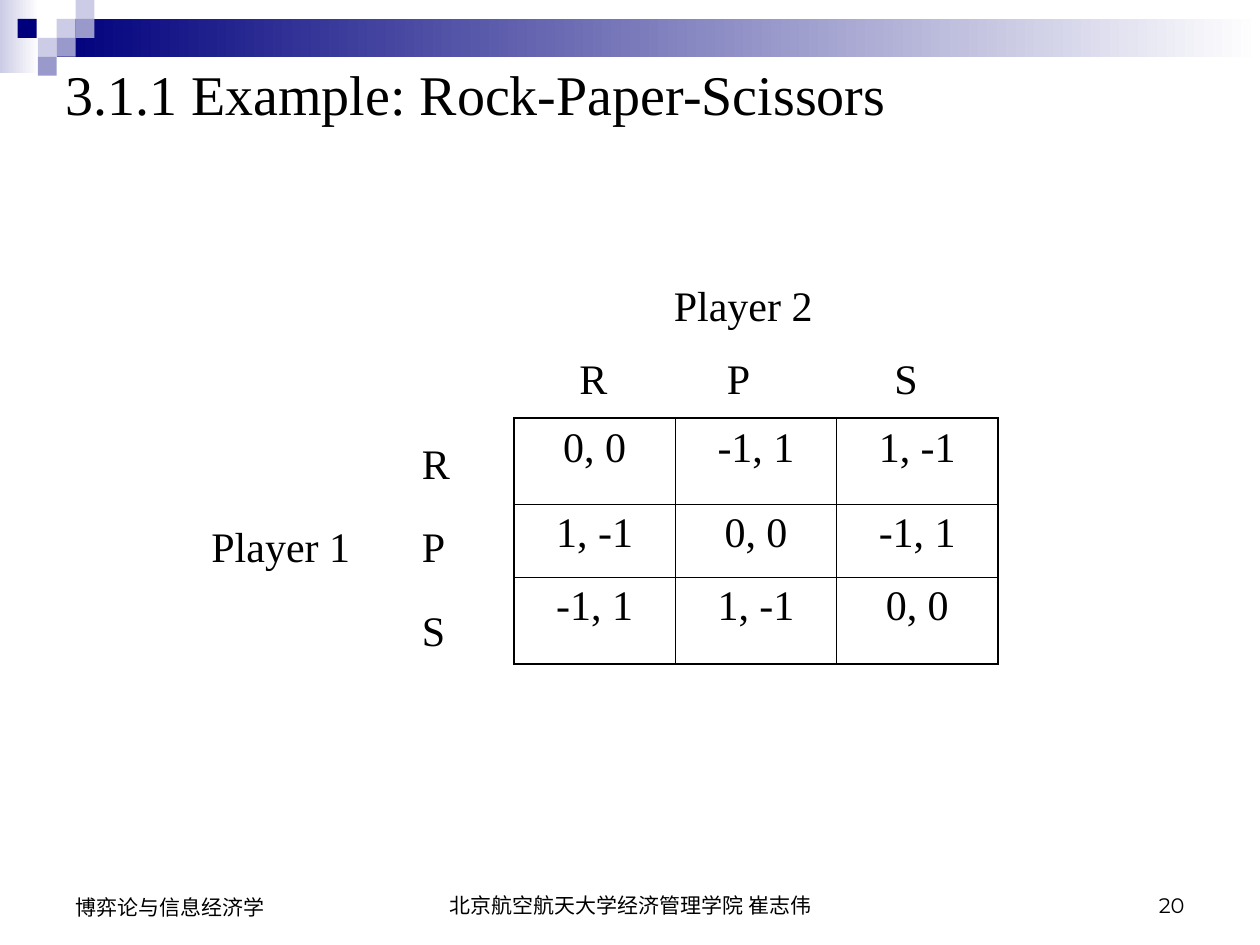
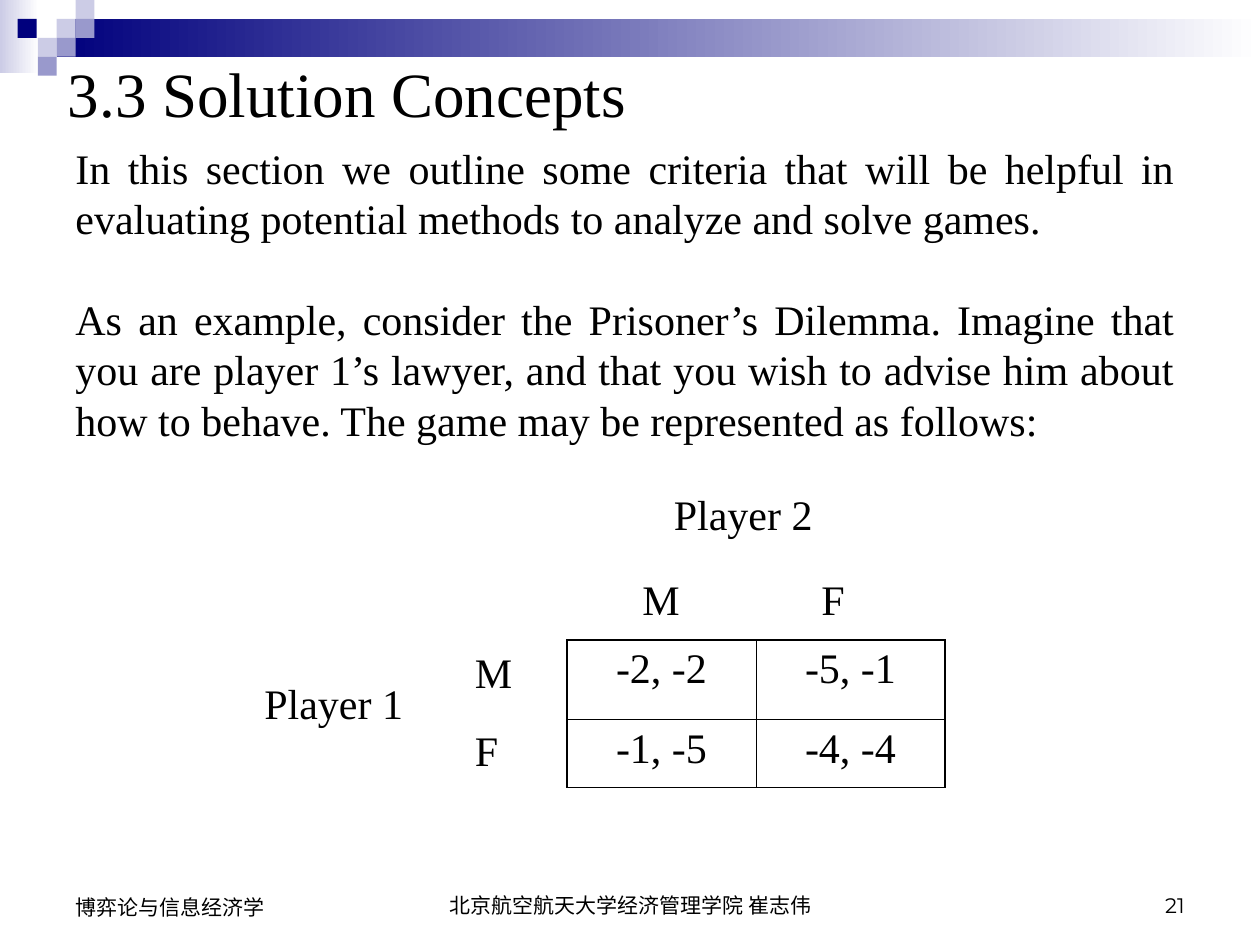
from dataclasses import dataclass
from lxml import etree
from pptx import Presentation
from pptx.dml.color import RGBColor
from pptx.enum.shapes import MSO_SHAPE
from pptx.enum.text import MSO_ANCHOR, PP_ALIGN
from pptx.oxml.ns import qn
from pptx.util import Inches, Pt

RECTANGLE = MSO_SHAPE.RECTANGLE
TOP, BOTTOM = MSO_ANCHOR.TOP, MSO_ANCHOR.BOTTOM
LEFT, CENTER, RIGHT, JUSTIFY = PP_ALIGN.LEFT, PP_ALIGN.CENTER, PP_ALIGN.RIGHT, PP_ALIGN.JUSTIFY


@dataclass(frozen=True)
class Theme:
    navy: str = "00007D"
    lilac: str = "9999CC"
    pale: str = "CCCCE6"
    white: str = "FFFFFF"
    ink: str = "000000"
    serif: str = "Times New Roman"
    sans: str = "Arial"
    number: str = "Montserrat"
    body_size: int = 24
    footer_size: int = 12
    leading: float = 1.2
    outer_line: float = 1.08
    inner_line: float = 0.45


theme = Theme()


def write_para(para, text, size, font, align):
    para.alignment = align
    span = para.add_run()
    span.text = text
    span.font.size = Pt(size)
    span.font.name = font
    span.font.color.rgb = RGBColor.from_string(theme.ink)


def add_text(page, place, texts, size=theme.body_size, font=theme.serif,
             align=LEFT, anchor=TOP, wrap=True):
    box = page.shapes.add_textbox(*map(Inches, place))
    frame = box.text_frame
    frame.word_wrap = wrap
    frame.vertical_anchor = anchor
    for index, text in enumerate(texts):
        para = frame.add_paragraph() if index else frame.paragraphs[0]
        write_para(para, text, size, font, align)
        if anchor == TOP:
            para.line_spacing = Pt(size * theme.leading)
        if index:
            para.space_before = Pt(size * theme.leading)


gradient_bands = [
    ((0, 0, 0.31, 0.58), theme.pale),
    ((0.45, 0.15, 9.55, 0.3), theme.navy),
]
square_side = 0.15
squares = [
    (0.45, 0.15, theme.pale),
    (0.6, 0, theme.pale),
    (0.6, 0.15, theme.lilac),
    (0.3, 0.3, theme.pale),
    (0.14, 0.15, theme.navy),
    (0.45, 0.3, theme.lilac),
    (0.3, 0.45, theme.lilac),
]

games = [
    {
        "number": "20",
        "title": "3.1.1 Example: Rock-Paper-Scissors",
        "title_place": (0.42, 0.42, 7.92, 1.17),
        "title_size": 32,
        "title_wrap": True,
        "body": [],
        "moves": "RPS",
        "payoffs": [["0, 0", "-1, 1", "1, -1"],
                    ["1, -1", "0, 0", "-1, 1"],
                    ["-1, 1", "1, -1", "0, 0"]],
        "table_corner": (4.08, 3.32),
        "column_width": 1.28,
        "row_heights": [0.68, 0.58, 0.69],
        "row_label_left": 3.25,
        "row_label_tops": [3.42, 4.08, 4.75],
        "column_label_top": 2.75,
        "column_label_lefts": [4.5, 5.67, 7],
        "player_1": (1.58, 4.08),
        "player_2": (5.25, 2.17),
    },
    {
        "number": "21",
        "title": "3.3 Solution Concepts",
        "title_place": (0.44, 0.38, 4.63, 0.7),
        "title_size": 36,
        "title_wrap": False,
        "body": [
            "In this section we outline some criteria that will be helpful in "
            "evaluating potential methods to analyze and solve games.",
            "As an example, consider the Prisoner’s Dilemma. Imagine that you are "
            "player 1’s lawyer, and that you wish to advise him about how to behave. "
            "The game may be represented as follows:",
        ],
        "moves": "MF",
        "payoffs": [["-2, -2", "-5, -1"],
                    ["-1, -5", "-4, -4"]],
        "table_corner": (4.5, 5.08),
        "column_width": 1.5,
        "row_heights": [0.63, 0.54],
        "row_label_left": 3.67,
        "row_label_tops": [5.08, 5.7],
        "column_label_top": 4.5,
        "column_label_lefts": [5, 6.42],
        "player_1": (2, 5.33),
        "player_2": (5.25, 3.83),
    },
]

deck = Presentation()
deck.slide_width, deck.slide_height = Inches(10), Inches(7.5)
blank = deck.slide_layouts[6]

for game in games:
    page = deck.slides.add_slide(blank)
    page.background.fill.solid()
    page.background.fill.fore_color.rgb = RGBColor.from_string(theme.white)

    for place, color in gradient_bands:
        band = page.shapes.add_shape(RECTANGLE, *map(Inches, place))
        band.shadow.inherit = False
        band.line.fill.background()
        band.fill.gradient()
        band.fill.gradient_angle = 0
        for stop, position, stop_color in zip(
                band.fill.gradient_stops, (0, 1), (color, theme.white)):
            stop.position = position
            stop.color.rgb = RGBColor.from_string(stop_color)

    for left, top, color in squares:
        square = page.shapes.add_shape(
            RECTANGLE, Inches(left), Inches(top), Inches(square_side), Inches(square_side))
        square.shadow.inherit = False
        square.line.fill.background()
        square.fill.solid()
        square.fill.fore_color.rgb = RGBColor.from_string(color)

    footers = [
        ((3.42, 6.83, 3.17, 0.5), "北京航空航天大学经济管理学院 崔志伟", theme.sans, CENTER),
        ((7.17, 6.83, 2.33, 0.5), game["number"], theme.number, RIGHT),
        ((0.5, 6.83, 2.33, 0.52), "博弈论与信息经济学", theme.sans, LEFT),
    ]
    for place, text, font, align in footers:
        add_text(page, place, [text], theme.footer_size, font, align, BOTTOM)

    add_text(page, game["title_place"], [game["title"]], game["title_size"],
             wrap=game["title_wrap"])
    if game["body"]:
        add_text(page, (0.5, 1.08, 8.92, 2.5), game["body"], align=JUSTIFY)

    count = len(game["moves"])
    left, top = game["table_corner"]
    table = page.shapes.add_table(
        count, count, Inches(left), Inches(top),
        Inches(count * game["column_width"]), Inches(sum(game["row_heights"]))).table
    table.first_row = False
    table.horz_banding = False
    for column in table.columns:
        column.width = Inches(game["column_width"])
    for row, height in zip(table.rows, game["row_heights"]):
        row.height = Inches(height)

    for row_index, payoff_row in enumerate(game["payoffs"]):
        for column_index, payoff in enumerate(payoff_row):
            cell = table.cell(row_index, column_index)
            cell.fill.background()
            write_para(cell.text_frame.paragraphs[0], payoff,
                       theme.body_size, theme.serif, CENTER)
            on_outer_edge = {
                "a:lnL": column_index == 0,
                "a:lnR": column_index == count - 1,
                "a:lnT": row_index == 0,
                "a:lnB": row_index == count - 1,
            }
            properties = cell._tc.get_or_add_tcPr()
            for position, (tag, outer) in enumerate(on_outer_edge.items()):
                width = theme.outer_line if outer else theme.inner_line
                border = etree.Element(qn(tag), w=str(Pt(width)))
                fill = etree.SubElement(border, qn("a:solidFill"))
                etree.SubElement(fill, qn("a:srgbClr"), val=theme.ink)
                properties.insert(position, border)

    for move, label_top in zip(game["moves"], game["row_label_tops"]):
        add_text(page, (game["row_label_left"], label_top, 0.58, 0.5), [move])
    for move, label_left in zip(game["moves"], game["column_label_lefts"]):
        add_text(page, (label_left, game["column_label_top"], 0.58, 0.5), [move])
    add_text(page, (*game["player_1"], 1.33, 0.5), ["Player 1"])
    add_text(page, (*game["player_2"], 1.83, 0.5), ["Player 2"])

deck.save("out.pptx")
